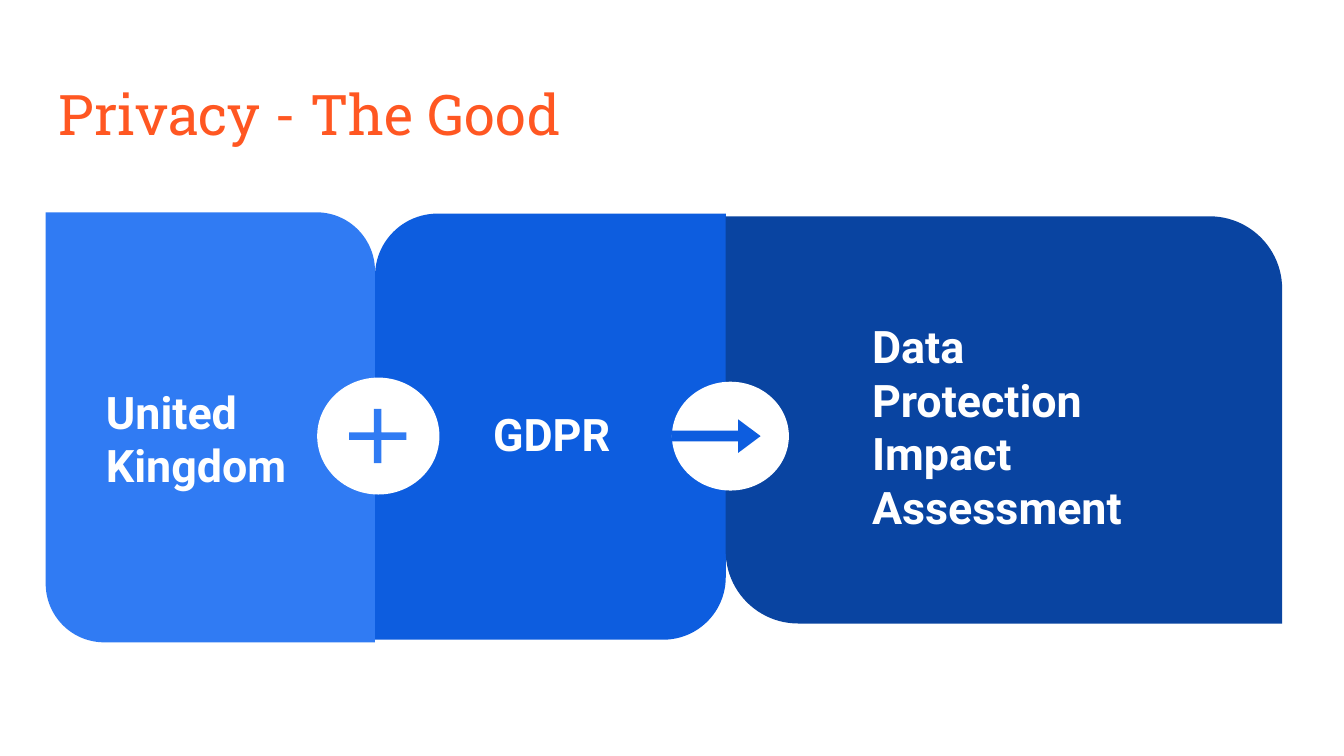
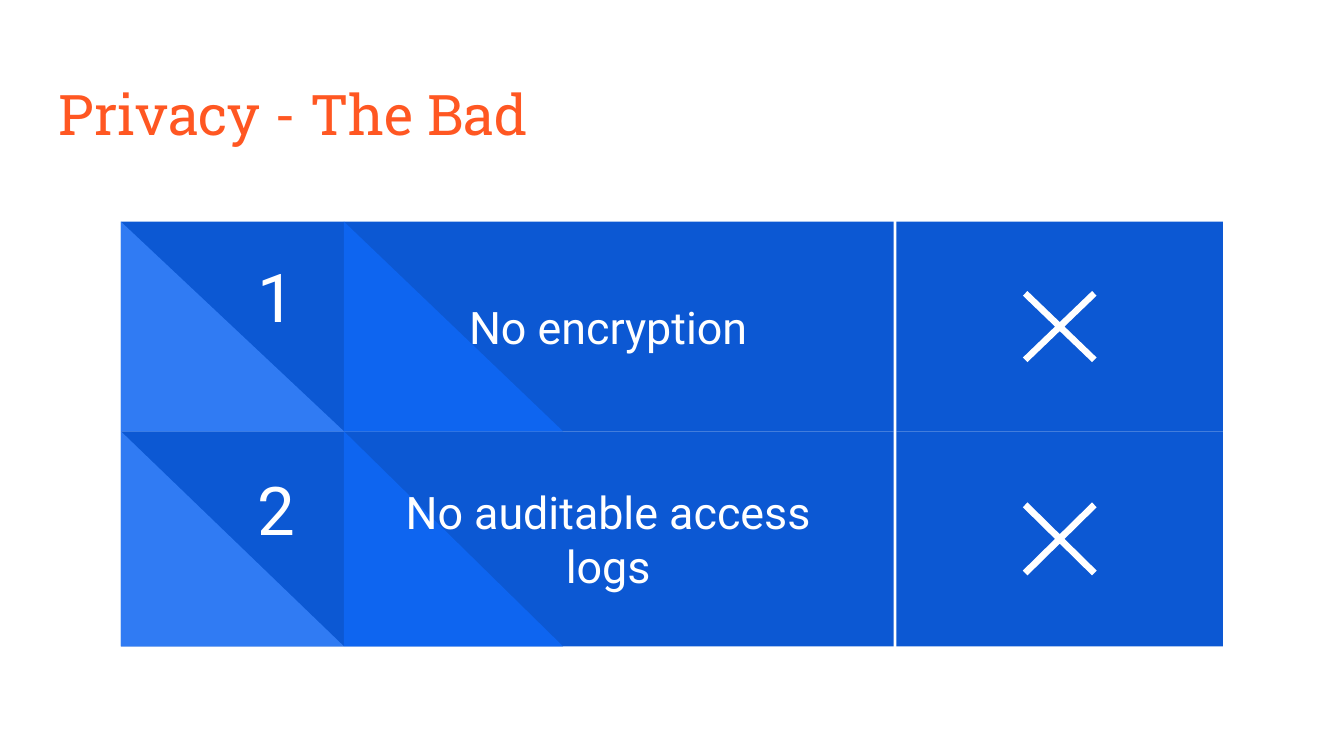
from dataclasses import dataclass

import pptx
import pptx.dml.color
import pptx.enum.shapes
import pptx.enum.text
import pptx.util
from pptx.enum.shapes import MSO_SHAPE
from pptx.enum.text import MSO_ANCHOR, PP_ALIGN
from pptx.util import Inches


@dataclass(frozen=True)
class Theme:
    title_font: str = "Roboto Slab"
    body_font: str = "Roboto"
    title_size: int = 30
    body_size: int = 24
    number_size: int = 36
    orange: str = "FF5722"
    white: str = "FFFFFF"
    light_blue: str = "307BF3"
    bright_blue: str = "0E65F0"
    middle_blue: str = "0D5DDF"
    row_blue: str = "0C58D3"
    dark_blue: str = "0944A1"


THEME = Theme()


@dataclass(frozen=True)
class Area:
    """A rectangle on the slide, in inches."""
    left: float
    top: float
    width: float
    height: float

    def lengths(self) -> tuple[pptx.util.Length, ...]:
        return tuple(Inches(n) for n in (self.left, self.top, self.width, self.height))


@dataclass(frozen=True)
class Figure:
    kind: MSO_SHAPE
    area: Area
    color: str
    adjustments: tuple[float, ...] = ()


@dataclass(frozen=True)
class Label:
    text: str
    area: Area
    size: int = THEME.body_size
    font: str = THEME.body_font
    color: str = THEME.white
    bold: bool = False
    align: PP_ALIGN = PP_ALIGN.LEFT
    anchor: MSO_ANCHOR = MSO_ANCHOR.TOP


@dataclass(frozen=True)
class Issue:
    number: str
    text: str
    top: float
    height: float


ROUNDING = 0.178
PANELS = (
    Figure(MSO_SHAPE.ROUND_2_DIAG_RECTANGLE, Area(2.79, 1.59, 2.61, 3.17),
           THEME.middle_blue, (ROUNDING, 0)),
    Figure(MSO_SHAPE.ROUND_2_DIAG_RECTANGLE, Area(0.34, 1.58, 2.45, 3.2),
           THEME.light_blue, (0, ROUNDING)),
    Figure(MSO_SHAPE.ROUND_2_DIAG_RECTANGLE, Area(5.4, 1.61, 4.14, 3.03),
           THEME.dark_blue, (0, ROUNDING)),
)
JOINTS = (
    Figure(MSO_SHAPE.OVAL, Area(5, 2.84, 0.87, 0.81), THEME.white),
    Figure(MSO_SHAPE.RIGHT_ARROW, Area(5, 3.12, 0.66, 0.25),
           THEME.middle_blue, (0.32, 0.67)),
    Figure(MSO_SHAPE.OVAL, Area(2.36, 2.81, 0.91, 0.87), THEME.white),
    Figure(MSO_SHAPE.MATH_PLUS, Area(2.52, 2.97, 0.58, 0.55),
           THEME.light_blue, (0.1,)),
)
PANEL_LABELS = (
    Label("United Kingdom", Area(0.69, 2.76, 1.56, 1.34), bold=True),
    Label("GDPR", Area(3.57, 2.93, 1.12, 0.63), bold=True),
    Label("Data Protection Impact Assessment", Area(6.39, 2.27, 2.17, 1.83), bold=True),
)
ISSUES = (
    Issue("2", "No auditable access logs", 3.21, 1.6),
    Issue("1", "No encryption", 1.65, 1.56),
)
MARK_SHARE = 0.61  # share of the row height taken by the number and the cross


def draw_figure(page: pptx.slide.Slide, figure: Figure) -> None:
    shape = page.shapes.add_shape(figure.kind, *figure.area.lengths())
    shape.shadow.inherit = False
    shape.fill.solid()
    shape.fill.fore_color.rgb = pptx.dml.color.RGBColor.from_string(figure.color)
    shape.line.fill.background()
    for index, value in enumerate(figure.adjustments):
        shape.adjustments[index] = value


def draw_label(page: pptx.slide.Slide, label: Label) -> None:
    frame = page.shapes.add_textbox(*label.area.lengths()).text_frame
    frame.word_wrap = True
    frame.vertical_anchor = label.anchor
    frame.margin_left = frame.margin_right = Inches(0.1)
    frame.margin_top = frame.margin_bottom = Inches(0.1)
    para = frame.paragraphs[0]
    para.text = label.text
    para.alignment = label.align
    para.font.name = label.font
    para.font.size = pptx.util.Pt(label.size)
    para.font.bold = label.bold
    para.font.color.rgb = pptx.dml.color.RGBColor.from_string(label.color)


def add_page(deck: pptx.presentation.Presentation, title: str) -> pptx.slide.Slide:
    page = deck.slides.add_slide(deck.slide_layouts[6])
    page.background.fill.solid()
    page.background.fill.fore_color.rgb = pptx.dml.color.RGBColor.from_string(THEME.white)
    draw_label(page, Label(title, Area(0.34, 0.49, 9.32, 0.63), THEME.title_size,
                           THEME.title_font, THEME.orange))
    return page


def draw_issue(page: pptx.slide.Slide, issue: Issue) -> None:
    """Draw one row: number, text and cross."""
    top, height = issue.top, issue.height
    mark_height = height * MARK_SHARE
    cross_top = top + (height - mark_height) / 2
    for figure in (
        Figure(MSO_SHAPE.RECTANGLE, Area(0.9, top, 5.75, height), THEME.row_blue),
        Figure(MSO_SHAPE.RIGHT_TRIANGLE, Area(2.56, top, 1.63, height), THEME.bright_blue),
        Figure(MSO_SHAPE.RIGHT_TRIANGLE, Area(0.9, top, 1.66, height), THEME.light_blue),
        Figure(MSO_SHAPE.RECTANGLE, Area(6.67, top, 2.43, height), THEME.row_blue),
        Figure(MSO_SHAPE.MATH_MULTIPLY, Area(7.39, cross_top, 0.99, mark_height),
               THEME.white, (0.051,)),
    ):
        draw_figure(page, figure)
    draw_label(page, Label(issue.number, Area(1.54, top, 1.03, mark_height),
                           THEME.number_size, align=PP_ALIGN.CENTER,
                           anchor=MSO_ANCHOR.BOTTOM))
    draw_label(page, Label(issue.text, Area(2.73, top, 3.59, height),
                           align=PP_ALIGN.CENTER, anchor=MSO_ANCHOR.MIDDLE))


def main() -> None:
    deck = pptx.Presentation()
    deck.slide_width = Inches(10)
    deck.slide_height = deck.slide_width * 9 // 16

    good = add_page(deck, "Privacy - The Good")
    for figure in PANELS + JOINTS:
        draw_figure(good, figure)
    for label in PANEL_LABELS:
        draw_label(good, label)

    bad = add_page(deck, "Privacy - The Bad")
    for issue in ISSUES:
        draw_issue(bad, issue)

    deck.save("out.pptx")


if __name__ == "__main__":
    main()
